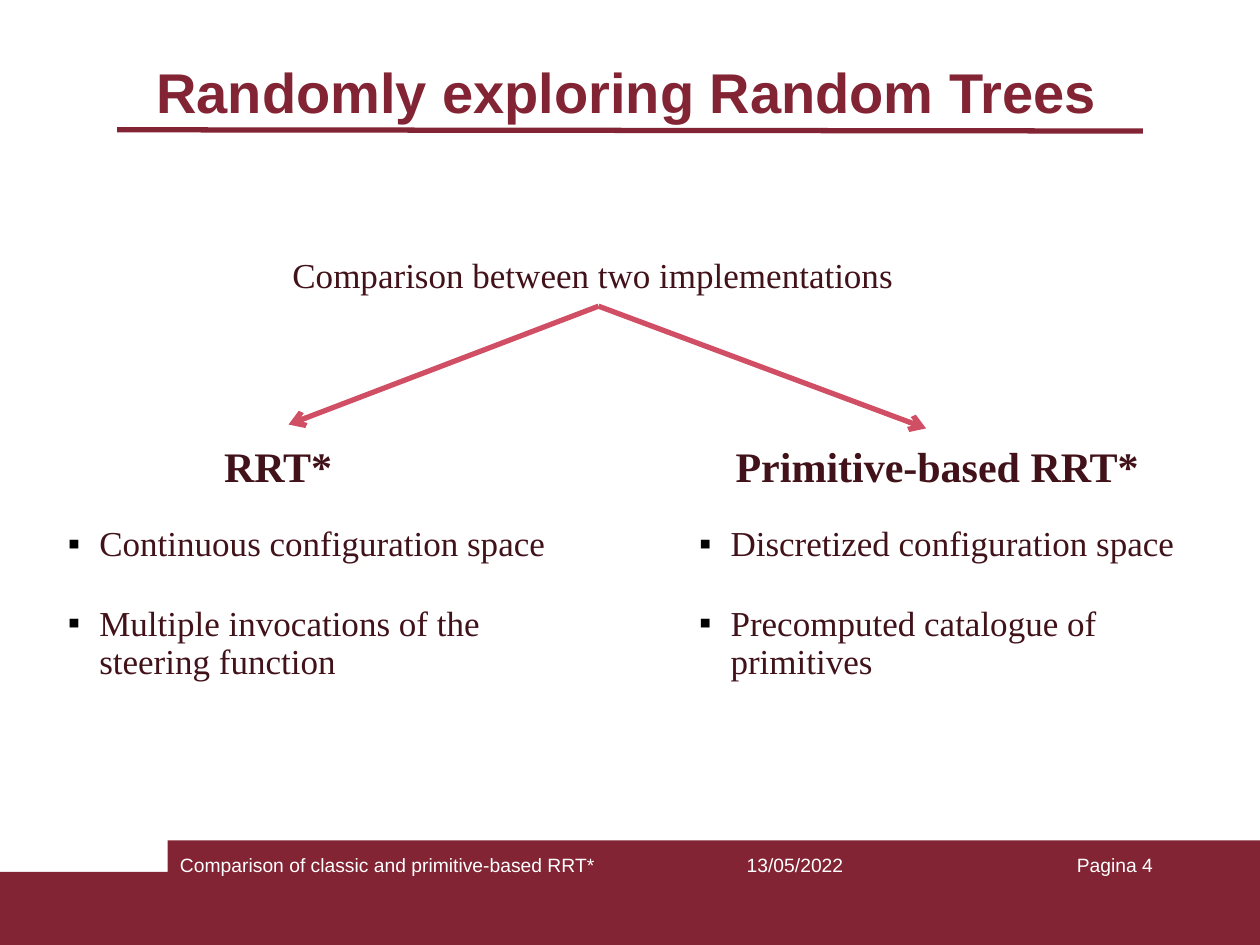
from pptx import Presentation
from pptx.dml.color import RGBColor
from pptx.enum.shapes import MSO_CONNECTOR, MSO_SHAPE
from pptx.enum.text import MSO_ANCHOR, PP_ALIGN
from pptx.oxml.ns import qn
from pptx.util import Inches, Pt
from lxml.etree import SubElement

# Content
TITLE = "Randomly exploring Random Trees"
TOPIC = "Comparison between two implementations"
# heading, heading left and width, bullets, bullets left and width, arrow tip
COLUMNS = [
    ("RRT*", (1.68, 1.1),
     ["Continuous configuration space",
      "Multiple invocations of the steering function"],
     (0.44, 4.36), (2.29, 3.37)),
    ("Primitive-based RRT*", (5.74, 3.46),
     ["Discretized configuration space",
      "Precomputed catalogue of primitives"],
     (5.45, 4.06), (7.35, 3.4)),
]
# text, left, width, alignment
FOOTER = [
    ("Comparison of classic and primitive-based RRT*", 1.33, 3.51, PP_ALIGN.LEFT),
    ("13/05/2022", 5.27, 2.08, PP_ALIGN.CENTER),
    ("Pagina 4", 7.17, 2.08, PP_ALIGN.RIGHT),
]

# Style
WIDTH, HEIGHT = 10, 7.5
MAROON, DARK, ROSE, WHITE, BLACK = "822433", "411219", "D14F64", "FFFFFF", "000000"
SANS, SERIF = "Arial", "Times New Roman"
FORK = (4.75, 2.43)
INDENT = Inches(0.25)


def color(value):
    return RGBColor.from_string(value)


def place(sp, left, top, width, height):
    sp.left, sp.top = Inches(left), Inches(top)
    sp.width, sp.height = Inches(width), Inches(height)


def style(p, size, font, fill, bold=False, align=PP_ALIGN.LEFT, spacing=None):
    p.alignment = align
    if spacing:
        p.line_spacing = spacing
    for r in p.runs:
        r.font.size, r.font.name, r.font.bold = Pt(size), font, bold
        r.font.color.rgb = color(fill)


def add_text(slide, text, box, *look, anchor=MSO_ANCHOR.TOP, **options):
    tf = slide.shapes.add_textbox(*map(Inches, box)).text_frame
    tf.word_wrap = True
    tf.vertical_anchor = anchor
    tf.text = text
    for p in tf.paragraphs:
        style(p, *look, **options)
    return tf


def add_bullet(p):
    pPr = p._p.get_or_add_pPr()
    pPr.set("marL", str(INDENT))
    pPr.set("indent", str(-INDENT))
    clr = SubElement(pPr, qn("a:buClr"))
    SubElement(clr, qn("a:srgbClr"), val=BLACK)
    SubElement(pPr, qn("a:buFont"), typeface=SERIF)
    SubElement(pPr, qn("a:buChar"), char="▪")


def add_line(slide, start, end, fill, arrow=False):
    line = slide.shapes.add_connector(
        MSO_CONNECTOR.STRAIGHT, *map(Inches, start + end))
    line.line.color.rgb = color(fill)
    line.line.width = Pt(3)
    if arrow:
        SubElement(line.line._get_or_add_ln(), qn("a:tailEnd"), type="arrow")
    SubElement(line._element.spPr, qn("a:effectLst"))


def add_band(slide, left, top):
    sp = slide.shapes.add_shape(
        MSO_SHAPE.RECTANGLE,
        *map(Inches, (left, top, WIDTH - left, HEIGHT - top)))
    sp.shadow.inherit = False
    sp.fill.solid()
    sp.fill.fore_color.rgb = color(MAROON)
    sp.line.fill.background()


def main():
    prs = Presentation()
    prs.slide_width, prs.slide_height = Inches(WIDTH), Inches(HEIGHT)
    slide = prs.slides.add_slide(prs.slide_layouts[5])

    # Footer band in two steps
    add_band(slide, 0, 6.92)
    add_band(slide, 1.33, 6.67)
    for text, left, width, align in FOOTER:
        add_text(slide, text, (left, 6.72, width, 0.5), 11, SANS, WHITE,
                 align=align)

    # Title and its rule
    title = slide.shapes.title
    place(title, 1.14, 0.37, 7.72, 0.78)
    title.text_frame.text = TITLE
    title.text_frame.vertical_anchor = MSO_ANCHOR.MIDDLE
    style(title.text_frame.paragraphs[0], 32, SANS, MAROON, bold=True, spacing=0.9)
    add_line(slide, (0.93, 1.03), (9.07, 1.04), MAROON)

    # Topic
    add_text(slide, TOPIC, (1.98, 1.97, 5.45, 0.46), 20, SERIF, DARK,
             anchor=MSO_ANCHOR.MIDDLE, align=PP_ALIGN.CENTER, spacing=0.9)

    # Two branches: arrow, heading, bullets
    for heading, (h_left, h_width), bullets, (left, width), tip in COLUMNS:
        add_line(slide, FORK, tip, ROSE, arrow=True)
        add_text(slide, heading, (h_left, 3.42, h_width, 0.55), 24, SERIF, DARK,
                 anchor=MSO_ANCHOR.MIDDLE, bold=True, align=PP_ALIGN.JUSTIFY)
        tf = add_text(slide, "\n".join(bullets), (left, 4.13, width, 1.5),
                      20, SERIF, DARK, spacing=0.9)
        for i, p in enumerate(tf.paragraphs):
            if i:
                p.space_before = Pt(24)
            add_bullet(p)

    prs.save("out.pptx")


if __name__ == "__main__":
    main()
